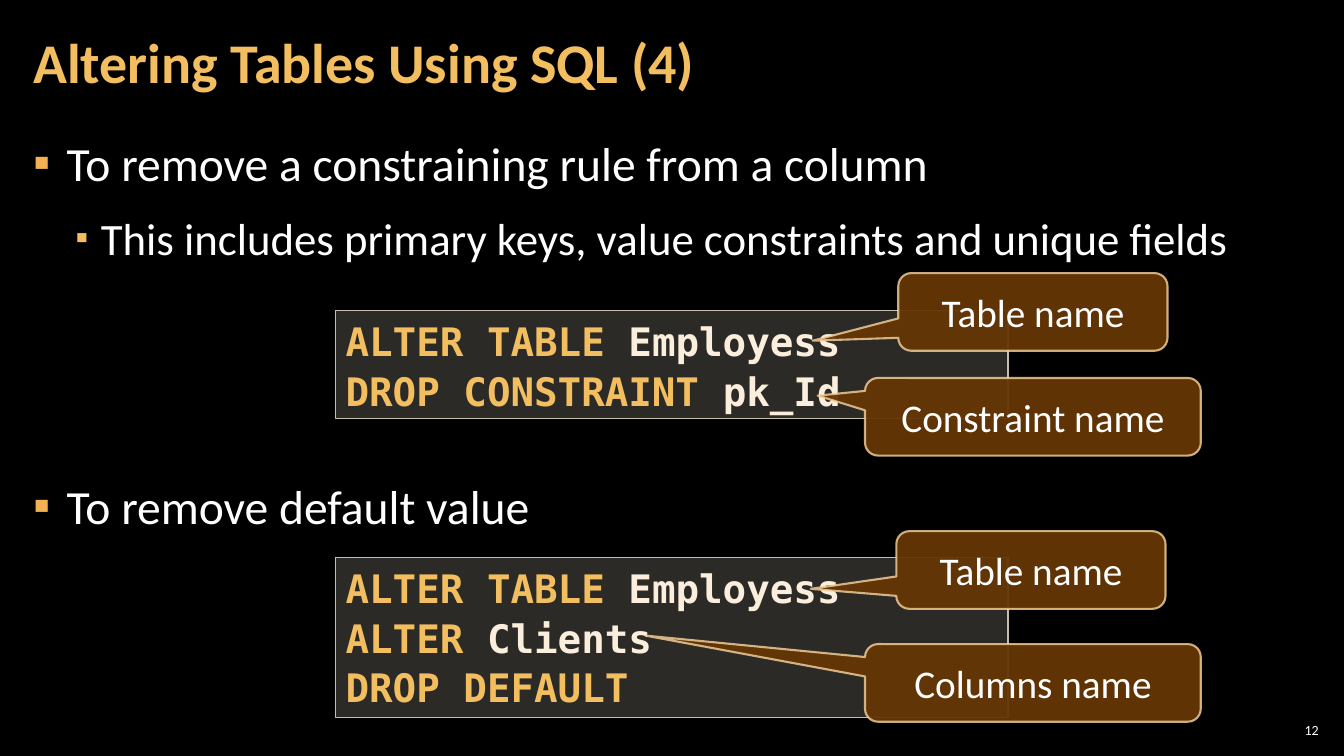
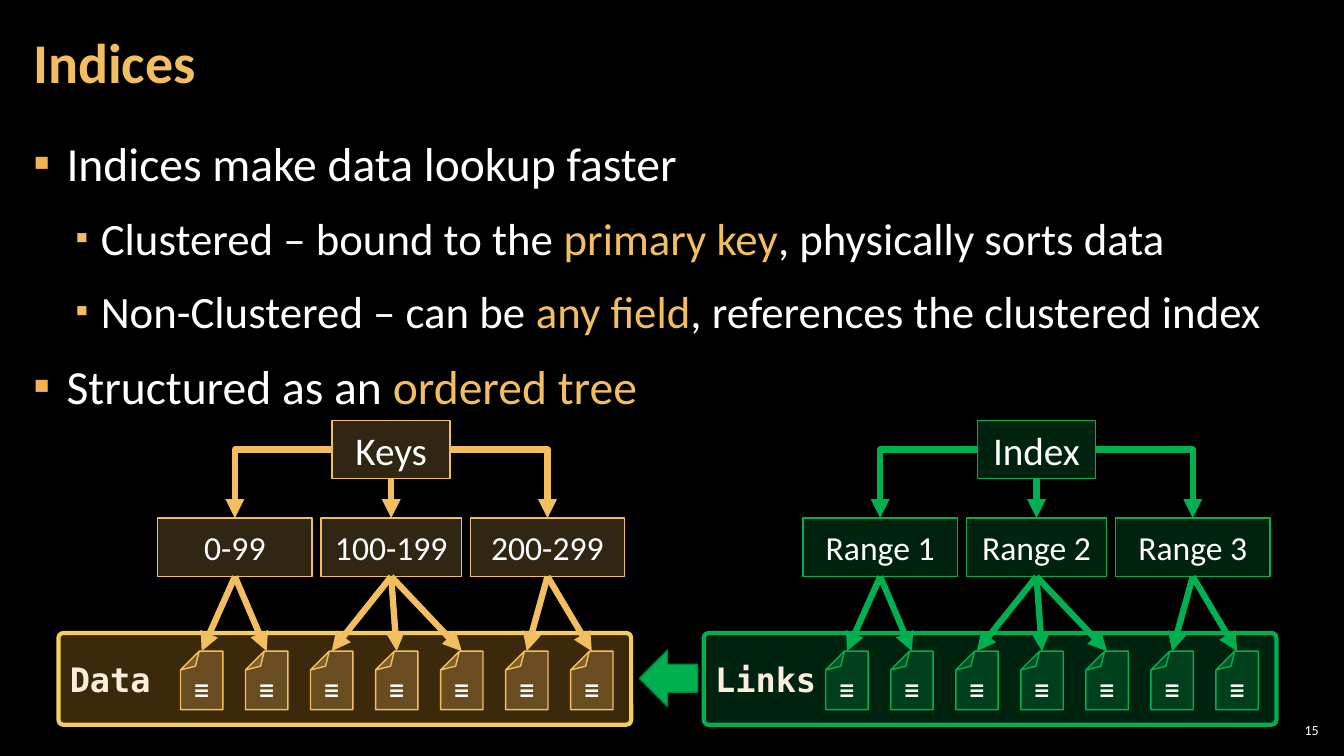
from lxml import etree
from pptx import Presentation
from pptx.dml.color import RGBColor
from pptx.enum.shapes import MSO_CONNECTOR, MSO_SHAPE
from pptx.enum.text import MSO_ANCHOR, MSO_AUTO_SIZE, PP_ALIGN
from pptx.oxml.ns import qn
from pptx.util import Inches, Pt

RECTANGLE = MSO_SHAPE.RECTANGLE
ROUNDED = MSO_SHAPE.ROUNDED_RECTANGLE
CALLOUT = MSO_SHAPE.ROUNDED_RECTANGULAR_CALLOUT
FOLDED = MSO_SHAPE.FOLDED_CORNER
LEFT_ARROW = MSO_SHAPE.LEFT_ARROW
STRAIGHT, ELBOW = MSO_CONNECTOR.STRAIGHT, MSO_CONNECTOR.ELBOW
TOP, MIDDLE = MSO_ANCHOR.TOP, MSO_ANCHOR.MIDDLE
LEFT, CENTER, RIGHT = PP_ALIGN.LEFT, PP_ALIGN.CENTER, PP_ALIGN.RIGHT

SANS, MONO = "Calibri", "DejaVu Sans Mono"
BLACK, WHITE, CREAM = "000000", "FFFFFF", "FBEEDC"
GOLD, GREEN = "F3BE60", "00B050"
TOP_SITE, LEFT_SITE, BOTTOM_SITE, RIGHT_SITE = range(4)

BULLETS = [
    {"size": 34, "margin": 0.33, "hang": 0.33, "color": "F2B254", "percent": 100},
    {"size": 32, "margin": 0.67, "hang": 0.25, "color": GOLD, "percent": 80},
]
GOLD_TREE = {"color": GOLD, "alpha": 20, "panel": "F0A22E", "panel_line": "F3CD60", "store_alpha": 25}
GREEN_TREE = {"color": GREEN, "alpha": 20, "panel": GREEN, "panel_line": GREEN, "store_alpha": 20}


def rgb(color):
    """Turn a hex string into a colour."""
    return RGBColor.from_string(color)


def add_child(parent, tag, **attributes):
    """Append a drawing element with the given attributes."""
    child = etree.SubElement(parent, qn(tag))
    for name, value in attributes.items():
        child.set(name, str(value))
    return child


def set_alpha(properties, route, percent):
    """Give a solid colour its opacity."""
    if percent < 100:
        color = properties.find("/".join(qn(tag) for tag in route))
        add_child(color, "a:alpha", val=percent * 1000)


def set_adjustments(properties, values):
    """Write the adjustment values of a preset shape."""
    guides = properties.find(qn("a:prstGeom")).find(qn("a:avLst"))
    for guide in list(guides):
        guides.remove(guide)
    for index, value in enumerate(values, 1):
        name = f"adj{index}" if len(values) > 1 else "adj"
        add_child(guides, "a:gd", name=name, fmla=f"val {round(value * 100000)}")


def setup_frame(frame, anchor, insets=(0.1, 0.05)):
    """Set wrapping, anchor and insets of a text frame."""
    frame.word_wrap = True
    frame.auto_size = MSO_AUTO_SIZE.NONE
    frame.vertical_anchor = anchor
    frame.margin_left = frame.margin_right = Inches(insets[0])
    frame.margin_top = frame.margin_bottom = Inches(insets[1])


def add_run(paragraph, text, size, color=WHITE, font=SANS, bold=False):
    """Add one formatted run."""
    run = paragraph.add_run()
    run.text = text
    run.font.name = font
    run.font.size = Pt(size)
    run.font.bold = bold
    run.font.color.rgb = rgb(color)


def write_line(frame, text, size, align=CENTER, **style):
    """Write a single line into a text frame."""
    paragraph = frame.paragraphs[0]
    paragraph.alignment = align
    add_run(paragraph, text, size, **style)


def add_textbox(slide, box, text, size, anchor, align, insets=(0.1, 0.05), **style):
    """Add a text box with a single line."""
    frame = slide.shapes.add_textbox(*map(Inches, box)).text_frame
    setup_frame(frame, anchor, insets)
    write_line(frame, text, size, align, **style)


def add_box(slide, kind, box, fill, alpha, line, width, adjustments=(), line_alpha=100):
    """Add a filled and outlined shape without shadow."""
    shape = slide.shapes.add_shape(kind, *map(Inches, box))
    shape.shadow.inherit = False
    shape.fill.solid()
    shape.fill.fore_color.rgb = rgb(fill)
    shape.line.color.rgb = rgb(line)
    shape.line.width = Pt(width)
    properties = shape.element.spPr
    if adjustments:
        set_adjustments(properties, adjustments)
    set_alpha(properties, ("a:solidFill", "a:srgbClr"), alpha)
    set_alpha(properties, ("a:ln", "a:solidFill", "a:srgbClr"), line_alpha)
    setup_frame(shape.text_frame, MIDDLE)
    return shape


def add_arrow(slide, start, end, color, kind=STRAIGHT):
    """Add a thick arrow between two points."""
    arrow = slide.shapes.add_connector(kind, *map(Inches, (*start, *end)))
    arrow.line.color.rgb = rgb(color)
    arrow.line.width = Pt(4.5)
    properties = arrow.element.spPr
    add_child(properties.find(qn("a:ln")), "a:tailEnd", type="triangle")
    add_child(properties, "a:effectLst")
    if kind == ELBOW:
        properties.find(qn("a:prstGeom")).set("prst", "bentConnector2")
    return arrow


def place(shape, box):
    """Move and resize a placeholder."""
    shape.left, shape.top, shape.width, shape.height = map(Inches, box)


def write_bullet(paragraph, level, runs, space_before=6):
    """Write one bullet from pairs of text and colour."""
    style = BULLETS[level]
    paragraph.level = level
    paragraph.alignment = LEFT
    paragraph.line_spacing = 1.05
    paragraph.space_before = Pt(space_before)
    paragraph.space_after = Pt(6)
    for text, color in runs:
        add_run(paragraph, text, style["size"], color)
    properties = paragraph._p.get_or_add_pPr()
    properties.set("marL", str(Inches(style["margin"])))
    properties.set("indent", str(-Inches(style["hang"])))
    add_child(add_child(properties, "a:buClr"), "a:srgbClr", val=style["color"])
    add_child(properties, "a:buSzPct", val=style["percent"] * 1000)
    add_child(properties, "a:buFont", typeface=SANS)
    add_child(properties, "a:buChar", char="▪")


def add_content_slide(presentation, title, number, bullets):
    """Add a slide with title, bullet list and slide number."""
    slide = presentation.slides.add_slide(presentation.slide_layouts[1])
    heading, body = slide.placeholders
    place(heading, (0.21, 0.04, 10.47, 1.21))
    setup_frame(heading.text_frame, MIDDLE, (0.12, 0.04))
    write_line(heading.text_frame, title, 40, LEFT, color=GOLD, bold=True)
    heading.text_frame.paragraphs[0].line_spacing = 0.9
    place(body, (0.21, 1.26, 12.91, 6.09))
    frame = body.text_frame
    setup_frame(frame, TOP, (0.12, 0.04))
    for index, bullet in enumerate(bullets):
        paragraph = frame.add_paragraph() if index else frame.paragraphs[0]
        write_bullet(paragraph, *bullet)
    add_textbox(slide, (12.65, 7.14, 0.47, 0.21), number, 10, MIDDLE, RIGHT, (0.04, 0.04))
    return slide


def add_code(slide, box, lines):
    """Add a code panel from pairs of keyword and name."""
    shape = add_box(slide, RECTANGLE, box, "D9D5C7", 20, "C7BFAC", 1)
    shape.text_frame.vertical_anchor = TOP
    paragraph = shape.text_frame.paragraphs[0]
    paragraph.alignment = LEFT
    paragraph.line_spacing = 1.05
    for index, (keyword, name) in enumerate(lines):
        if index:
            paragraph.add_line_break()
        add_run(paragraph, keyword, 28, GOLD, MONO, True)
        if name:
            add_run(paragraph, name, 28, CREAM, MONO, True)


def add_callout(slide, left, top, width, text, pointer):
    """Add a brown callout whose tip lies at the pointer."""
    shape = add_box(slide, CALLOUT, (left, top, width, 0.77), "663606", 95,
                    "F8D49E", 1.5, (*pointer, 0.167), 80)
    write_line(shape.text_frame, text, 28)


def add_document(slide, left, top, theme):
    """Add a document icon."""
    shape = add_box(slide, FOLDED, (left, top, 0.42, 0.58), theme["color"],
                    theme["store_alpha"], theme["color"], 1, (0.442,))
    shape.rotation = 180
    add_textbox(slide, (left - 0.125, top + 0.16, 0.67, 0.4), "☰", 18, TOP, CENTER,
                font=MONO, bold=True)


def add_node(slide, center, top, width, text, size, theme):
    """Add a tree node centred on a horizontal position."""
    color = theme["color"]
    shape = add_box(slide, RECTANGLE, (center - width / 2, top, width, 0.58),
                    color, theme["alpha"], color, 1)
    write_line(shape.text_frame, text, size)
    return shape


def add_tree(slide, left, top, root_text, ranges, store_text, theme):
    """Add an index tree above its panel of documents."""
    color = theme["color"]
    middle, pitch, step = left + 3.3, 1.55, 0.645
    range_top, document_top = top + 0.97, top + 2.29
    panel = add_box(slide, ROUNDED, (left, top + 2.11, 5.68, 0.91), theme["panel"],
                    theme["store_alpha"], theme["panel_line"], 3, (0.053,))
    write_line(panel.text_frame, store_text, 24, LEFT, color=CREAM, font=MONO, bold=True)
    document_lefts = [left + 1.21 + step * index for index in range(7)]
    for document_left in document_lefts:
        add_document(slide, document_left, document_top, theme)
    root = add_node(slide, middle, top, 1.17, root_text, 28, theme)
    branches = [(-1, 1.53, LEFT_SITE, ELBOW, 2), (0, 1.39, BOTTOM_SITE, STRAIGHT, 3),
                (1, 1.53, RIGHT_SITE, ELBOW, 2)]
    targets = iter(document_lefts)
    for text, (offset, width, site, kind, count) in zip(ranges, branches):
        center = middle + offset * pitch
        node = add_node(slide, center, range_top, width, text, 24, theme)
        arrow = add_arrow(slide, (middle, top), (center, range_top), color, kind)
        arrow.begin_connect(root, site)
        arrow.end_connect(node, TOP_SITE)
        for _ in range(count):
            target = next(targets) + 0.21
            add_arrow(slide, (center, range_top + 0.58), (target, document_top), color)


def build_altering(presentation):
    """Build the slide on altering tables."""
    slide = add_content_slide(presentation, "Altering Tables Using SQL (4)", "12", [
        (0, [("To remove a constraining rule from a column", WHITE)]),
        (1, [("This includes primary keys, value constraints and unique fields", WHITE)]),
        (0, [("To remove default value", WHITE)], 144),
    ])
    table_line = ("ALTER TABLE ", "Employess")
    add_code(slide, (3.33, 3.08, 6.67, 1.07), [table_line, ("DROP CONSTRAINT ", "pk_Id")])
    add_code(slide, (3.33, 5.53, 6.67, 1.59),
             [table_line, ("ALTER ", "Clients"), ("DROP DEFAULT", "")])
    for callout in [
        (8.91, 2.71, 2.67, "Table name", (-0.818, 0.371)),
        (8.58, 3.75, 3.33, "Constraint name", (-0.641, -0.272)),
        (8.58, 6.39, 3.33, "Columns name", (-1.155, -0.61)),
        (8.89, 5.27, 2.67, "Table name", (-0.818, 0.243)),
    ]:
        add_callout(slide, *callout)


def build_indices(presentation):
    """Build the slide on indices."""
    slide = add_content_slide(presentation, "Indices", "15", [
        (0, [("Indices make data lookup faster", WHITE)]),
        (1, [("Clustered – bound to the ", WHITE), ("primary key", GOLD),
             (", physically sorts data", WHITE)]),
        (1, [("Non-Clustered – can be ", WHITE), ("any field", GOLD),
             (", references the clustered index", WHITE)]),
        (0, [("Structured as an ", WHITE), ("ordered tree", GOLD)]),
    ])
    add_tree(slide, 0.58, 4.17, "Keys", ["0-99", "100-199", "200-299"], "Data", GOLD_TREE)
    add_tree(slide, 6.98, 4.17, "Index", ["Range 1", "Range 2", "Range 3"], "Links", GREEN_TREE)
    add_box(slide, LEFT_ARROW, (6.34, 6.45, 0.58, 0.56), GREEN, 100, "00843C", 1)


def main():
    """Build and save the presentation."""
    presentation = Presentation()
    presentation.slide_width, presentation.slide_height = Inches(13.33), Inches(7.5)
    background = presentation.slide_master.background.fill
    background.solid()
    background.fore_color.rgb = rgb(BLACK)
    build_altering(presentation)
    build_indices(presentation)
    presentation.save("out.pptx")


if __name__ == "__main__":
    main()
